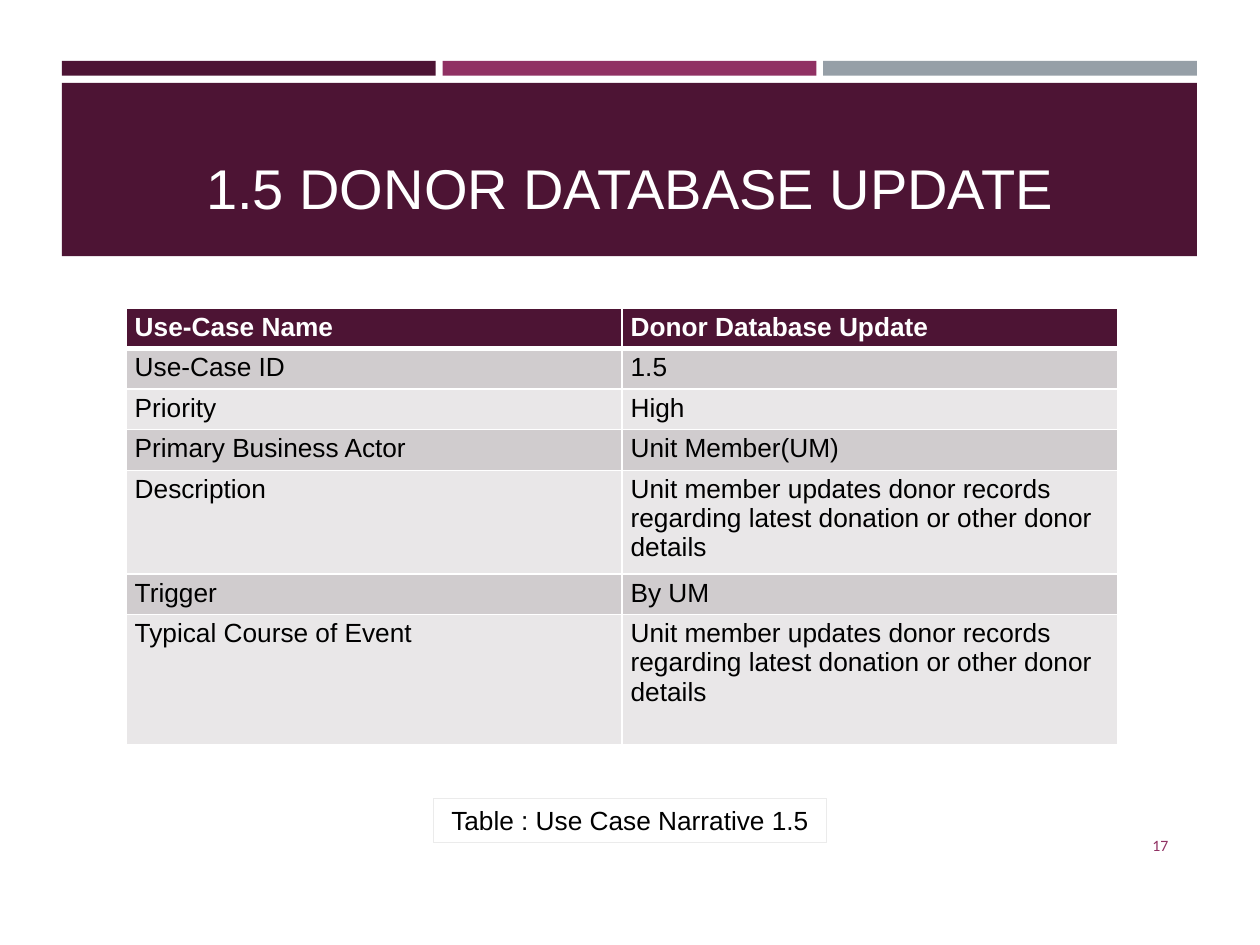
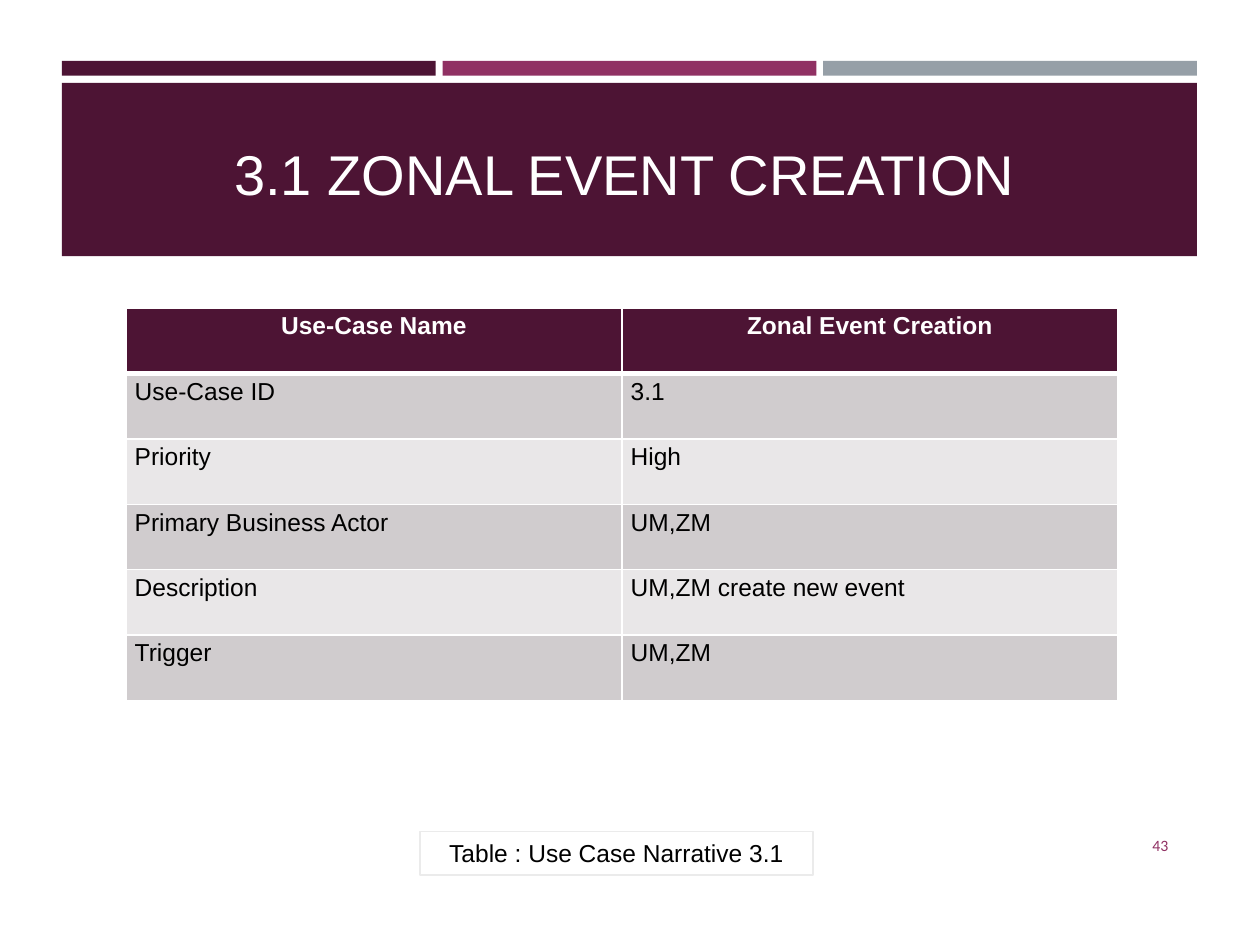
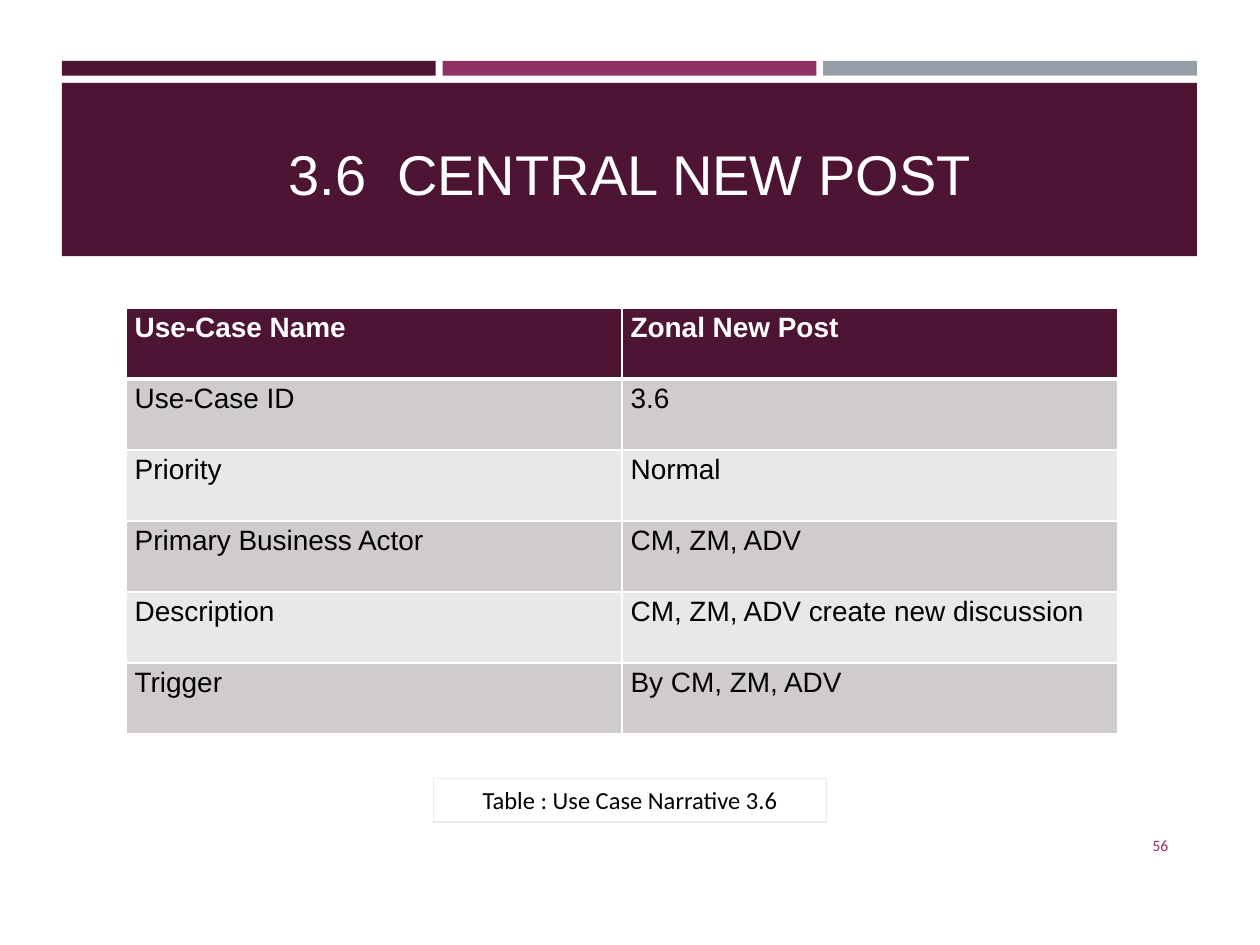
from lxml.etree import SubElement
from pptx import Presentation
from pptx.dml.color import RGBColor
from pptx.enum.shapes import MSO_SHAPE
from pptx.enum.text import MSO_ANCHOR, MSO_AUTO_SIZE, PP_ALIGN
from pptx.oxml.ns import qn
from pptx.util import Pt

COLORS = {
    "plum": "4D1434", "berry": "903163", "steel": "969FA7",
    "white": "FFFFFF", "black": "000000", "hairline": "EBEBEB",
    "odd_row": "D0CCCE", "even_row": "E9E7E8",
}

# Shared geometry, in points
BAND_LEFT, BAND_WIDTH, BAND_GAP = 35.4, 648.6, 3.9
STRIPE_TOP, STRIPE_HEIGHT = 34.8, 8.5
BANNER_TOP, BANNER_HEIGHT = 47.4, 99
TABLE_LEFT, TABLE_TOP, COLUMN_WIDTH = 72, 176, 283.4
CELL_MARGINS = {
    "margin_left": Pt(5), "margin_right": Pt(5),
    "margin_top": Pt(2.6), "margin_bottom": Pt(2.6),
}


def color(name):
    return RGBColor.from_string(COLORS[name])


def apply(target, formats):
    for attribute, value in formats.items():
        setattr(target, attribute, value)


class NarrativeDeck:
    """Holds the deck style and the slide being built."""

    def __init__(self):
        self.deck = Presentation()
        apply(self.deck, {"slide_width": Pt(720), "slide_height": Pt(540)})
        self.slide = None

    def new_slide(self):
        self.slide = self.deck.slides.add_slide(self.deck.slide_layouts[6])
        # Three stripes above the title banner
        width = (BAND_WIDTH - 2 * BAND_GAP) / 3
        for index, tint in enumerate(("plum", "berry", "steel")):
            left = BAND_LEFT + index * (width + BAND_GAP)
            self.band(left, STRIPE_TOP, width, STRIPE_HEIGHT, tint)
        self.band(BAND_LEFT, BANNER_TOP, BAND_WIDTH, BANNER_HEIGHT, "plum")

    def rectangle(self, *box):
        rectangle = self.slide.shapes.add_shape(
            MSO_SHAPE.RECTANGLE, *map(Pt, box))
        rectangle.shadow.inherit = False
        return rectangle

    def band(self, left, top, width, height, tint):
        band = self.rectangle(left, top, width, height)
        band.fill.solid()
        band.fill.fore_color.rgb = color(tint)
        band.line.fill.background()

    def add_text(self, frame, text, size, tint, align, font="Arial", bold=False):
        paragraph = frame.paragraphs[0]
        paragraph.alignment = align
        run = paragraph.add_run()
        run.text = text
        apply(run.font, {"name": font, "size": Pt(size), "bold": bold})
        run.font.color.rgb = color(tint)

    def label(self, box, anchor, *style):
        frame = self.slide.shapes.add_textbox(*map(Pt, box)).text_frame
        apply(frame, {"word_wrap": True, "vertical_anchor": anchor})
        self.add_text(frame, *style)

    def title(self, text, box):
        self.label(box, MSO_ANCHOR.BOTTOM, text, 32, "white", PP_ALIGN.CENTER)

    def page_number(self, number):
        self.label((614.2, 468.7, 60.5, 28.8), MSO_ANCHOR.MIDDLE,
                   number, 9, "berry", PP_ALIGN.RIGHT, "Calibri")

    def caption(self, text, left, top, size, font):
        caption = self.rectangle(left, top, 224.6, 25)
        caption.fill.background()
        caption.line.color.rgb = color("hairline")
        caption.line.width = Pt(0.75)
        apply(caption.text_frame, {
            "word_wrap": True, "vertical_anchor": MSO_ANCHOR.MIDDLE,
            "auto_size": MSO_AUTO_SIZE.SHAPE_TO_FIT_TEXT,
        })
        self.add_text(caption.text_frame, text, size, "black",
                      PP_ALIGN.CENTER, font)

    def borders(self, cell, top, bottom):
        properties = cell._tc.get_or_add_tcPr()
        for side, width in (("L", 1), ("R", 1), ("T", top), ("B", bottom)):
            line = SubElement(properties, qn(f"a:ln{side}"), w=str(Pt(width)))
            fill = SubElement(line, qn("a:solidFill"))
            SubElement(fill, qn("a:srgbClr"), val=COLORS["white"])

    def narrative(self, rows, heights, size, header_align):
        table = self.slide.shapes.add_table(
            len(rows), 2, Pt(TABLE_LEFT), Pt(TABLE_TOP),
            Pt(2 * COLUMN_WIDTH), Pt(sum(heights))).table
        for column in table.columns:
            column.width = Pt(COLUMN_WIDTH)
        for index, (entries, height) in enumerate(zip(rows, heights)):
            table.rows[index].height = Pt(height)
            header = index == 0
            tint = ("plum" if header
                    else "odd_row" if index % 2 else "even_row")
            for cell, text in zip(table.rows[index].cells, entries):
                apply(cell, CELL_MARGINS)
                self.borders(cell, 3 if index == 1 else 1, 3 if header else 1)
                cell.fill.solid()
                cell.fill.fore_color.rgb = color(tint)
                self.add_text(cell.text_frame, text, size,
                              "white" if header else "black",
                              header_align if header else PP_ALIGN.LEFT,
                              bold=header)


FIELDS = ("Use-Case Name", "Use-Case ID", "Priority", "Primary Business Actor",
          "Description", "Trigger", "Typical Course of Event")
DONOR_UPDATE = ("Unit member updates donor records regarding latest donation "
                "or other donor details")

USE_CASES = [
    {
        "title": ("1.5 DONOR DATABASE UPDATE", (72, 66.2, 576, 63.4)),
        "answers": ("Donor Database Update", "1.5", "High", "Unit Member(UM)",
                    DONOR_UPDATE, "By UM", DONOR_UPDATE),
        "table": ([22.5] * 4 + [57, 22.5, 74.5], 15, PP_ALIGN.LEFT),
        "caption": ("Table : Use Case Narrative 1.5", 247.7, 456.3, 15, "Arial"),
        "page": "17",
    },
    {
        "title": ("3.1 ZONAL EVENT CREATION ", (46.8, 66.2, 629.3, 55.4)),
        "answers": ("Zonal Event Creation", "3.1", "High", "UM,ZM",
                    "UM,ZM create new event", "UM,ZM"),
        "table": ([37.4] * 6, 14, PP_ALIGN.CENTER),
        "caption": ("Table : Use Case Narrative 3.1", 240, 475, 14, "Arial"),
        "page": "43",
    },
    {
        "title": ("3.6  CENTRAL NEW POST", (45.4, 72, 629.3, 49.7)),
        "answers": ("Zonal New Post", "3.6", "Normal", "CM, ZM, ADV",
                    "CM, ZM, ADV create new discussion", "By CM, ZM, ADV"),
        "table": ([40.6] * 6, 16, PP_ALIGN.LEFT),
        "caption": ("Table : Use Case Narrative 3.6", 247.7, 444.7, 14, "Calibri"),
        "page": "56",
    },
]


def main():
    narratives = NarrativeDeck()
    for use_case in USE_CASES:
        narratives.new_slide()
        narratives.title(*use_case["title"])
        rows = list(zip(FIELDS, use_case["answers"]))
        narratives.narrative(rows, *use_case["table"])
        narratives.page_number(use_case["page"])
        narratives.caption(*use_case["caption"])
    narratives.deck.save("out.pptx")


if __name__ == "__main__":
    main()
